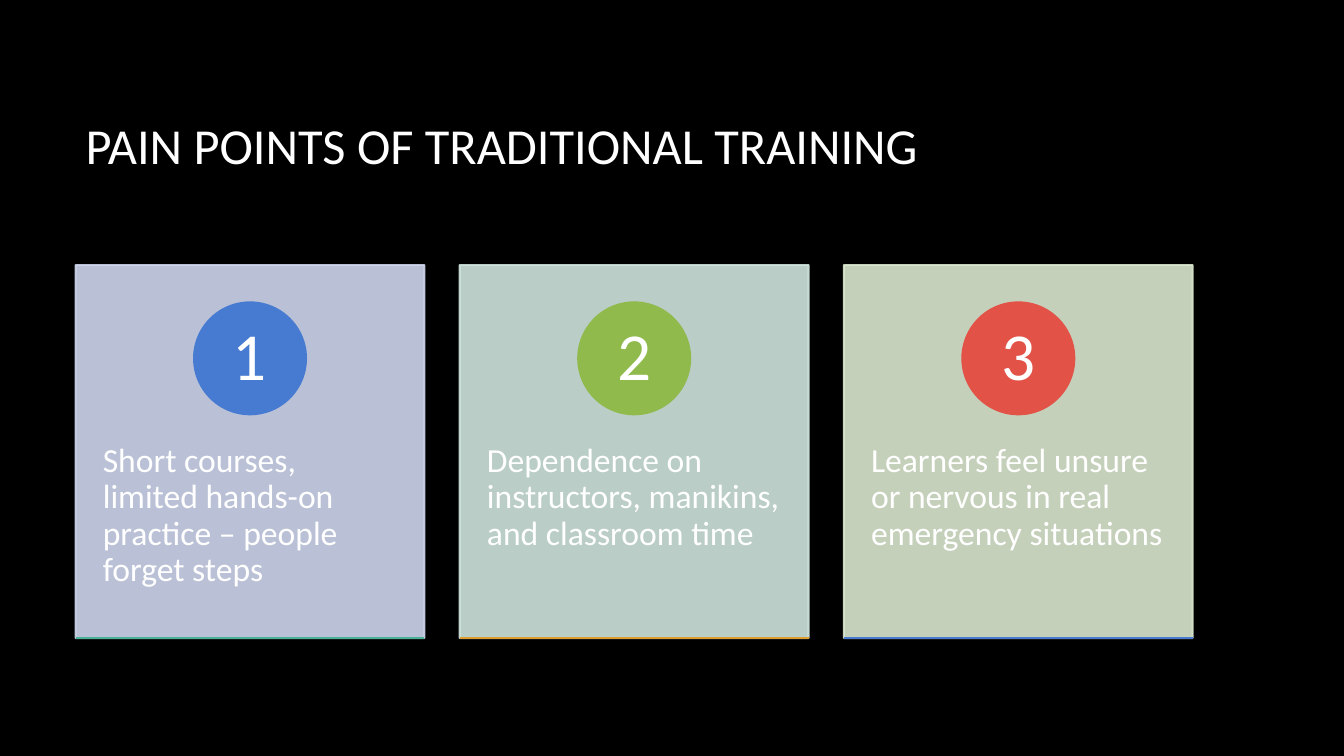
import pptx
import pptx.dml.color
import pptx.enum.shapes
import pptx.enum.text
import pptx.oxml.ns
import pptx.util
from lxml import etree

Inches = pptx.util.Inches
Pt = pptx.util.Pt
SHAPES = pptx.enum.shapes.MSO_SHAPE
ALIGN = pptx.enum.text.PP_ALIGN
ANCHOR = pptx.enum.text.MSO_ANCHOR
qn = pptx.oxml.ns.qn

COLORS = {
    "black": "000000", "white": "FFFFFF",
    "blue": "477BD1", "green": "90BA4C", "red": "E25247",
    "teal": "46B298", "orange": "DD9D31",
    "pale_blue": "CFD7EE", "pale_teal": "CFE4DD", "pale_green": "DBE7D0",
}
# Text, card colour, badge colour, base line colour
CARDS = [
    ("Short courses, limited hands-on practice – people forget steps",
     "pale_blue", "blue", "teal"),
    ("Dependence on instructors, manikins, and classroom time",
     "pale_teal", "green", "orange"),
    ("Learners feel unsure or nervous in real emergency situations",
     "pale_green", "red", "blue"),
]
LEFT, TOP = 0.75, 2.63
CARD_W, CARD_H, CARD_STEP = 3.46, 3.7, 3.81
BADGE = 1.11


def rgb(name):
    return pptx.dml.color.RGBColor.from_string(COLORS[name])


def set_text(sp, text, size, insets, align=ALIGN.LEFT, anchor=ANCHOR.TOP, spacing=0.9):
    tf = sp.text_frame
    tf.word_wrap = True
    tf.vertical_anchor = anchor
    tf.margin_left = tf.margin_right = Inches(insets[0])
    tf.margin_top = tf.margin_bottom = Inches(insets[1])
    tf.text = text
    p = tf.paragraphs[0]
    p.alignment = align
    p.line_spacing = spacing
    font = p.runs[0].font
    font.name, font.size = "Calibri", Pt(size)
    font.color.rgb = rgb("white")


def add_filled(s, kind, x, y, w, h, color, opacity=100):
    sp = s.shapes.add_shape(kind, Inches(x), Inches(y), Inches(w), Inches(h))
    sp.shadow.inherit = False
    sp.fill.solid()
    sp.fill.fore_color.rgb = rgb(color)
    sp.line.color.rgb = rgb(color)
    sp.line.width = Pt(1.5)
    if opacity < 100:
        for clr in sp._element.spPr.iter(qn("a:srgbClr")):
            etree.SubElement(clr, qn("a:alpha")).set("val", str(opacity * 1000))
    return sp


def add_label(s, x, y, w, h, text, size, insets, **options):
    box = s.shapes.add_textbox(Inches(x), Inches(y), Inches(w), Inches(h))
    set_text(box, text, size, insets, **options)


def add_base_line(s, x, y, w, color):
    line = s.shapes.add_connector(pptx.enum.shapes.MSO_CONNECTOR.STRAIGHT,
                                  Inches(x), Inches(y), Inches(x + w), Inches(y))
    line.line.color.rgb = rgb(color)
    line.line.width = Pt(1.5)
    etree.SubElement(line._element.spPr, qn("a:effectLst"))


def add_card(s, number, x, text, card, badge, base):
    add_filled(s, SHAPES.RECTANGLE, x, TOP, CARD_W, CARD_H, card, opacity=90)
    add_label(s, x, 4.04, CARD_W, 2.22, text, 24, (0.27, 0.36))
    circle = add_filled(s, SHAPES.OVAL, x + (CARD_W - BADGE) / 2, 3, BADGE, BADGE, badge)
    set_text(circle, str(number), 48, (0.09, 0.01), ALIGN.CENTER, ANCHOR.MIDDLE)
    add_base_line(s, x, TOP + CARD_H, CARD_W, base)


def main():
    prs = pptx.Presentation()
    prs.slide_width, prs.slide_height = Inches(13.33), Inches(7.5)
    s = prs.slides.add_slide(prs.slide_layouts[6])
    s.background.fill.solid()
    s.background.fill.fore_color.rgb = rgb("black")

    # Title
    add_label(s, LEFT, 0.67, 11.08, 1.59, "PAIN POINTS OF TRADITIONAL TRAINING",
              36, (0.1, 0.05), anchor=ANCHOR.MIDDLE)

    # Numbered cards
    for i, card in enumerate(CARDS):
        add_card(s, i + 1, LEFT + i * CARD_STEP, *card)

    prs.save("out.pptx")


if __name__ == "__main__":
    main()
